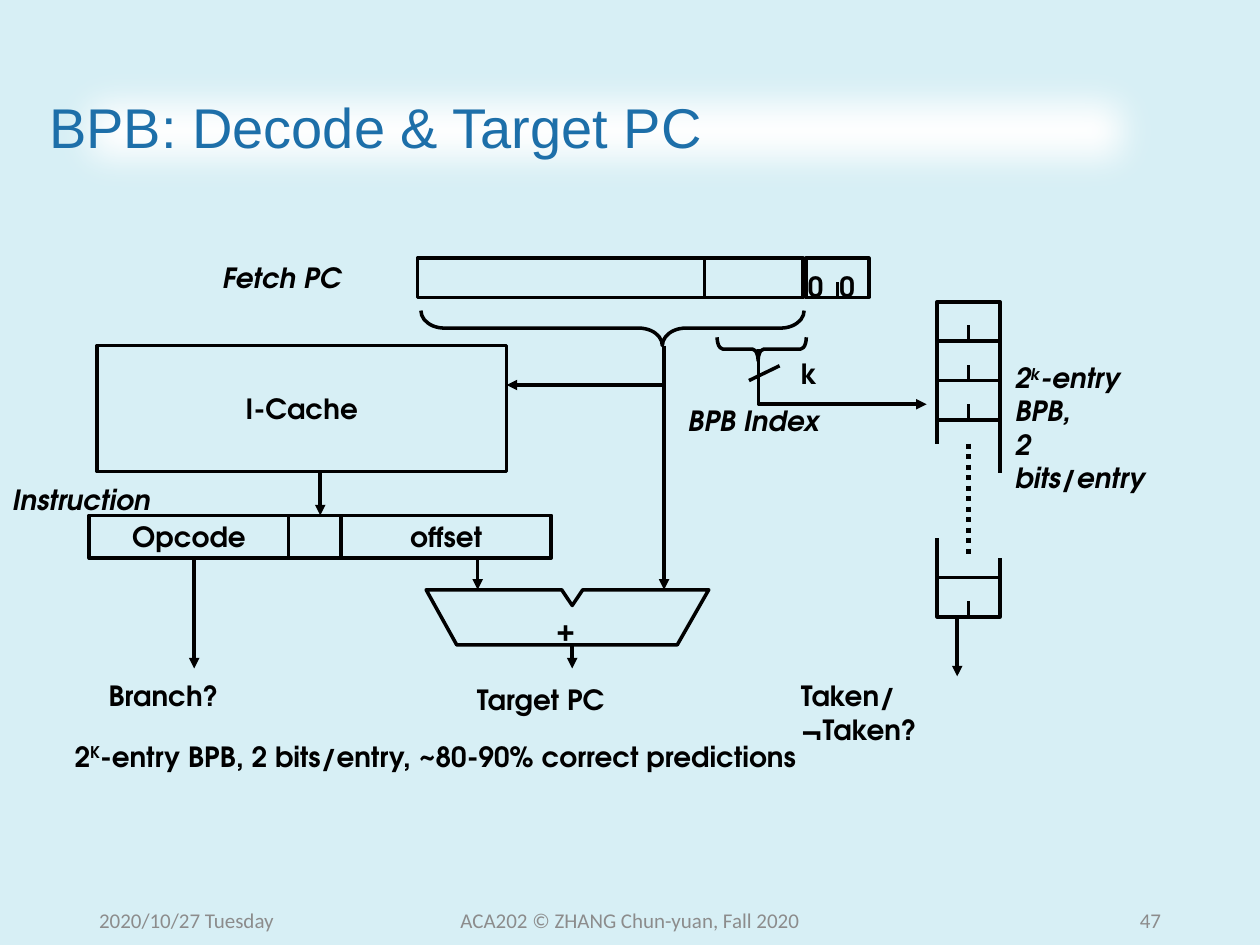
from dataclasses import dataclass

from lxml import etree
from pptx import Presentation
from pptx.dml.color import RGBColor
from pptx.enum.dml import MSO_LINE
from pptx.enum.shapes import MSO_CONNECTOR, MSO_SHAPE
from pptx.enum.text import MSO_ANCHOR, PP_ALIGN
from pptx.oxml.ns import qn
from pptx.util import Pt

RECTANGLE = MSO_SHAPE.RECTANGLE
RIGHT_BRACE = MSO_SHAPE.RIGHT_BRACE
STRAIGHT = MSO_CONNECTOR.STRAIGHT
DOTTED = MSO_LINE.ROUND_DOT
MIDDLE, TOP = MSO_ANCHOR.MIDDLE, MSO_ANCHOR.TOP
LEFT, CENTER, RIGHT = PP_ALIGN.LEFT, PP_ALIGN.CENTER, PP_ALIGN.RIGHT

COLORS = {
    "background": "D7EFF5",
    "band": "FFFFFF",
    "title": "1D6FA9",
    "ink": "000000",
    "footer": "8C8C8C",
}
DIAGRAM_FONT = "TeX Gyre Adventor"
CELL_WIDTH, CELL_HEIGHT = 36, 22.5
TABLE_LEFT, TABLE_TOP, LAST_ENTRY_TOP = 535.5, 172.5, 330
TABLE_RIGHT = TABLE_LEFT + CELL_WIDTH
TABLE_MIDDLE = TABLE_LEFT + CELL_WIDTH / 2
TABLE_BREAK = TABLE_TOP + 3 * CELL_HEIGHT


@dataclass(frozen=True)
class Style:
    size: float = 15.9
    font: str = DIAGRAM_FONT
    color: str = "ink"
    bold: bool = True
    italic: bool = False


@dataclass(frozen=True)
class Label:
    text: str  # "^" encloses superscript, a line feed starts a paragraph
    left: float
    top: float
    width: float
    height: float = 26.5
    style: Style = Style()
    wrap: bool = False
    align: PP_ALIGN = LEFT
    anchor: MSO_ANCHOR = TOP


@dataclass(frozen=True)
class Box:
    left: float
    top: float
    width: float
    height: float
    text: str = ""


@dataclass(frozen=True)
class Wire:
    x1: float
    y1: float
    x2: float
    y2: float
    arrow: bool = False
    width: float = 2
    dotted: bool = False


@dataclass(frozen=True)
class Brace:
    left: float
    top: float
    width: float
    height: float
    curve: float
    tip: float


PLAIN, ITALIC = Style(), Style(italic=True)
TITLE = Style(32, "Arial", "title", bold=False)
FOOTER = Style(12, "Calibri", "footer", bold=False)

BOXES = [
    Box(238.5, 147.5, 220.5, CELL_HEIGHT),
    Box(55.5, 197.5, 234, 72, "I-Cache"),
    Box(51, 294.5, 114, 24.5, "Opcode"),
    Box(165, 294.5, 30, 24.5),
    Box(195, 294.5, 120, 24.5, "offset"),
]
SPLIT_CELLS = [(460.5, 147.5), (TABLE_LEFT, LAST_ENTRY_TOP)] + [
    (TABLE_LEFT, TABLE_TOP + row * CELL_HEIGHT) for row in range(3)
]
WIRES = [
    Wire(402.5, 147.5, 402.5, 170),  # index field boundary
    Wire(183, 269.5, 183, 294.5, arrow=True),  # cache to instruction
    Wire(111, 319, 111, 382, arrow=True),  # opcode to branch
    Wire(273, 319, 273, 337, arrow=True),  # offset to adder
    Wire(379.5, 220, 379.5, 337, arrow=True),  # PC to adder
    Wire(327, 368.5, 327, 382, arrow=True),  # adder to target
    Wire(428, 217.5, 445.5, 209),  # bus width slash
    Wire(547, LAST_ENTRY_TOP + CELL_HEIGHT, 547, 386.5, arrow=True),
    # Open sides of the elided table rows
    Wire(TABLE_LEFT, TABLE_BREAK, TABLE_LEFT, 253.5),
    Wire(TABLE_RIGHT, TABLE_BREAK, TABLE_RIGHT, 270),
    Wire(TABLE_LEFT, LAST_ENTRY_TOP, TABLE_LEFT, 307.5),
    Wire(TABLE_RIGHT, LAST_ENTRY_TOP, TABLE_RIGHT, 319),
    Wire(TABLE_MIDDLE, 253.5, TABLE_MIDDLE, 319, width=3, dotted=True),
]
BRACES = [
    Brace(340, 78, 20, 219, 0.67, 0.37),
    Brace(428.5, 174, 13.5, 51, 0.24, 0.54),
]
ADDER = [(243.5, 337), (321, 337), (327, 346), (333, 337),
         (405, 337), (387, 368.5), (261, 368.5)]
ARROW_PATHS = [
    [(379.5, 197.5), (379.5, 220), (289.5, 220)],  # PC to cache
    [(433.5, 199.5), (433.5, 231), (529.5, 231)],  # index to table
]
LABELS = [
    Label("2^K^-entry BPB, 2 bits/entry, ~80-90% correct predictions",
          35.5, 419, 643.5, wrap=True),
    Label("0", 454.5, 150.5, 24),
    Label("0", 472.5, 150.5, 24),
    Label("Fetch PC", 120, 145.5, 83, style=ITALIC),
    Label("Branch?", 55, 384.5, 78),
    Label("Target PC", 265.5, 386.5, 88.5),
    Label("+", 310.5, 346.5, 24.5),
    Label("Instruction", 0, 272, 93.5, style=ITALIC),
    Label("k", 450.5, 200, 24),
    Label("BPB Index", 386, 227, 156, style=ITALIC, wrap=True),
    Label("2^k^-entry\nBPB,\n2 bits/entry", 573, 202.5, 94, 84, ITALIC, True),
    Label("Taken/¬Taken?", 450.5, 384.5, 110, 46, wrap=True),
    Label("2020/10/27 Tuesday", 49.5, 511, 162, 29, FOOTER, True, LEFT, MIDDLE),
    Label("ACA202 © ZHANG Chun-yuan, Fall 2020",
          238.5, 511, 243, 29, FOOTER, True, CENTER, MIDDLE),
    Label("47", 508.5, 511, 162, 29, FOOTER, True, RIGHT, MIDDLE),
]


def rgb(name: str) -> RGBColor:
    return RGBColor.from_string(COLORS[name])


def write_text(shape, text: str, style: Style, align=LEFT, anchor=TOP, wrap=False) -> None:
    frame = shape.text_frame
    frame.word_wrap, frame.vertical_anchor = wrap, anchor
    for index, line in enumerate(text.split("\n")):
        paragraph = frame.add_paragraph() if index else frame.paragraphs[0]
        paragraph.alignment = align
        font = paragraph.font
        font.name, font.size = style.font, Pt(style.size)
        font.bold, font.italic = style.bold, style.italic
        font.color.rgb = rgb(style.color)
        for part, piece in enumerate(line.split("^")):
            run = paragraph.add_run()
            run.text = piece
            if part % 2:
                run._r.get_or_add_rPr().set("baseline", "30000")


def outline(shape, arrow: bool = False) -> None:
    shape.shadow.inherit = False
    shape.fill.background()
    shape.line.color.rgb, shape.line.width = rgb("ink"), Pt(2)
    if arrow:
        add_arrowhead(shape)


def add_arrowhead(shape) -> None:
    etree.SubElement(shape.line._get_or_add_ln(), qn("a:tailEnd"), type="triangle")


def add_label(slide, label: Label) -> None:
    shape = slide.shapes.add_textbox(
        Pt(label.left), Pt(label.top), Pt(label.width), Pt(label.height))
    write_text(shape, label.text, label.style, label.align, label.anchor, label.wrap)


def add_box(slide, box: Box) -> None:
    shape = slide.shapes.add_shape(
        RECTANGLE, Pt(box.left), Pt(box.top), Pt(box.width), Pt(box.height))
    outline(shape)
    if box.text:
        write_text(shape, box.text, PLAIN, CENTER, MIDDLE)


def add_wire(slide, wire: Wire) -> None:
    connector = slide.shapes.add_connector(
        STRAIGHT, Pt(wire.x1), Pt(wire.y1), Pt(wire.x2), Pt(wire.y2))
    connector.line.color.rgb, connector.line.width = rgb("ink"), Pt(wire.width)
    if wire.dotted:
        connector.line.dash_style = DOTTED
    if wire.arrow:
        add_arrowhead(connector)
    etree.SubElement(connector._element.spPr, qn("a:effectLst"))


def add_split_cell(slide, left: float, top: float) -> None:
    add_box(slide, Box(left, top, CELL_WIDTH, CELL_HEIGHT))
    middle, bottom = left + CELL_WIDTH / 2, top + CELL_HEIGHT
    add_wire(slide, Wire(middle, bottom, middle, bottom - 9))


def add_brace(slide, brace: Brace) -> None:
    shape = slide.shapes.add_shape(
        RIGHT_BRACE, Pt(brace.left), Pt(brace.top), Pt(brace.width), Pt(brace.height))
    shape.rotation = 90
    shape.adjustments[0], shape.adjustments[1] = brace.curve, brace.tip
    outline(shape)


def add_path(slide, points: list, closed: bool) -> None:
    corners = [(Pt(x), Pt(y)) for x, y in points]
    builder = slide.shapes.build_freeform(*corners[0])
    builder.add_line_segments(corners[1:], close=closed)
    outline(builder.convert_to_shape(), arrow=not closed)


def add_title(slide) -> None:
    shape = slide.shapes.add_shape(RECTANGLE, Pt(21), Pt(29), Pt(649.5), Pt(90.5))
    shape.shadow.inherit = False
    shape.fill.solid()
    shape.fill.fore_color.rgb = rgb("band")
    shape.line.fill.background()
    effects = shape._element.spPr.find(qn("a:effectLst"))
    etree.SubElement(effects, qn("a:softEdge"), rad=str(Pt(25)))
    write_text(shape, "BPB: Decode & Target PC", TITLE, LEFT, MIDDLE, True)
    shape.text_frame.paragraphs[0].line_spacing = 0.9


def main() -> None:
    presentation = Presentation()
    presentation.slide_width, presentation.slide_height = Pt(720), Pt(540)
    slide = presentation.slides.add_slide(presentation.slide_layouts[6])
    slide.background.fill.solid()
    slide.background.fill.fore_color.rgb = rgb("background")

    add_title(slide)
    # Registers, cache and prediction table
    for box in BOXES:
        add_box(slide, box)
    for left, top in SPLIT_CELLS:
        add_split_cell(slide, left, top)
    # Adder and data paths
    add_path(slide, ADDER, closed=True)
    for points in ARROW_PATHS:
        add_path(slide, points, closed=False)
    for brace in BRACES:
        add_brace(slide, brace)
    for wire in WIRES:
        add_wire(slide, wire)
    # Captions and footer
    for label in LABELS:
        add_label(slide, label)
    presentation.save("out.pptx")


if __name__ == "__main__":
    main()
